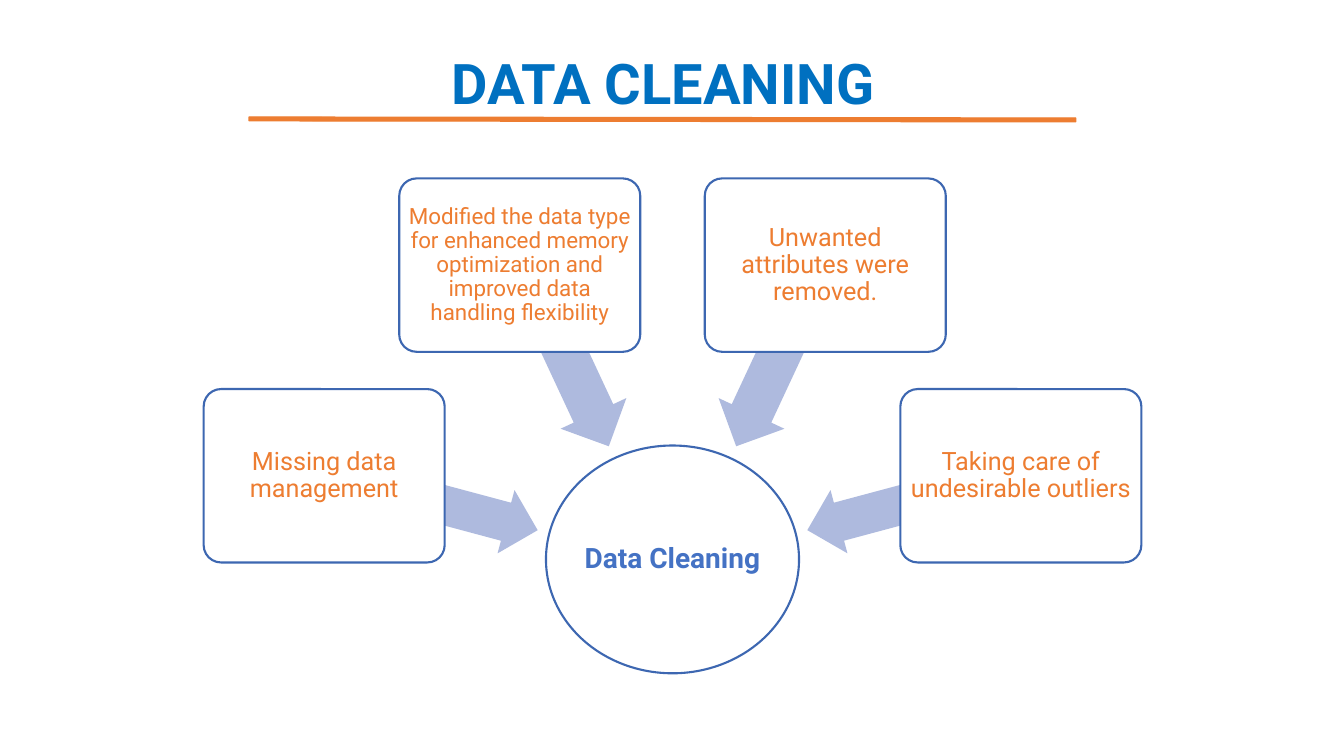
from dataclasses import dataclass

from pptx import Presentation
from pptx.dml.color import RGBColor as RGB
from pptx.enum.shapes import MSO_SHAPE as Shape
from pptx.enum.text import MSO_ANCHOR as Anchor, MSO_AUTO_SIZE as AutoSize, PP_ALIGN as Align
from pptx.util import Inches, Pt

TITLE = "DATA CLEANING"
HUB = "Data Cleaning"
# text, side of the hub (-1 left, 1 right), tier, type size
STEPS = [
    ("Missing data management", -1, "lower", 18),
    ("Modified the data type for enhanced memory optimization and improved data "
     "handling flexibility", -1, "upper", 16),
    ("Unwanted attributes were removed.", 1, "upper", 18),
    ("Taking care of undesirable outliers", 1, "lower", 18),
]
# Centre offsets from the hub axis, centre heights, arrow size and right-hand angle
TIERS = {
    "lower": dict(box=(3.455, 4.72), arrow=(2.4, 4.975), size=(2.2, 0.65), angle=345),
    "upper": dict(box=(1.515, 2.63), arrow=(1.05, 3.53), size=(1.98, 0.72), angle=295),
}
AXIS = 6.67
BOX_SIZE = (2.39, 1.72)
HUB_CENTRE, HUB_SIZE = (AXIS, 5.55), (2.51, 2.26)
RULE = [(2.47, 1.16), (2.47, 1.2), (10.67, 1.21), (10.67, 1.17)]


@dataclass(frozen=True)
class Theme:
    font: str = "Roboto"
    title: str = "0070C0"
    hub: str = "4472C4"
    accent: str = "ED7D31"
    outline: str = "3D67B1"
    arrow: str = "AEBADE"
    paper: str = "FFFFFF"
    title_size: int = 40
    hub_size: int = 20


T = Theme()


def set_text(sp, text, *, size, color, bold=False, inset=0.0, anchor=Anchor.MIDDLE, spacing=0.9):
    tf = sp.text_frame
    tf.word_wrap = True
    tf.auto_size = AutoSize.NONE
    tf.vertical_anchor = anchor
    tf.margin_left = tf.margin_right = tf.margin_top = tf.margin_bottom = Inches(inset)
    p = tf.paragraphs[0]
    p.alignment = Align.CENTER
    p.line_spacing = spacing
    p.space_before = Pt(0)
    r = p.add_run()
    r.text = text
    r.font.name = T.font
    r.font.size = Pt(size)
    r.font.bold = bold
    r.font.color.rgb = RGB.from_string(color)


def paint(sp, fill, line=None, width=1.5):
    sp.shadow.inherit = False
    sp.fill.solid()
    sp.fill.fore_color.rgb = RGB.from_string(fill)
    if line:
        sp.line.color.rgb = RGB.from_string(line)
        sp.line.width = Pt(width)
    else:
        sp.line.fill.background()


def add_centred(s, kind, centre, size, fill, line=None):
    (x, y), (w, h) = centre, size
    sp = s.shapes.add_shape(kind, Inches(x - w / 2), Inches(y - h / 2), Inches(w), Inches(h))
    paint(sp, fill, line)
    return sp


def add_title(s):
    sp = s.shapes.title
    sp.left, sp.top, sp.width, sp.height = map(Inches, (1.4, 0.48, 10.35, 0.67))
    set_text(sp, TITLE, size=T.title_size, color=T.title, bold=True, anchor=Anchor.TOP, spacing=1.0)
    start, *rest = [(Inches(x), Inches(y)) for x, y in RULE]
    outline = s.shapes.build_freeform(*start)
    outline.add_line_segments(rest, close=True)
    paint(outline.convert_to_shape(), T.accent, T.accent, 0.75)


def add_step(s, text, side, tier, size):
    place = TIERS[tier]

    def centre(part):
        offset, y = place[part]
        return AXIS + side * offset, y

    arrow = add_centred(s, Shape.LEFT_ARROW, centre("arrow"), place["size"], T.arrow)
    arrow.adjustments[0], arrow.adjustments[1] = 0.6, 0.5
    arrow.rotation = place["angle"] if side > 0 else 540 - place["angle"]
    box = add_centred(s, Shape.ROUNDED_RECTANGLE, centre("box"), BOX_SIZE, T.paper, T.outline)
    box.adjustments[0] = 0.1
    set_text(box, text, size=size, color=T.accent, inset=0.04)


def main():
    prs = Presentation()
    prs.slide_width, prs.slide_height = Inches(13.33), Inches(7.5)
    s = prs.slides.add_slide(prs.slide_layouts[5])
    add_title(s)
    hub = add_centred(s, Shape.OVAL, HUB_CENTRE, HUB_SIZE, T.paper, T.outline)
    set_text(hub, HUB, size=T.hub_size, color=T.hub, bold=True)
    for step in STEPS:
        add_step(s, *step)
    prs.save("out.pptx")


if __name__ == "__main__":
    main()
